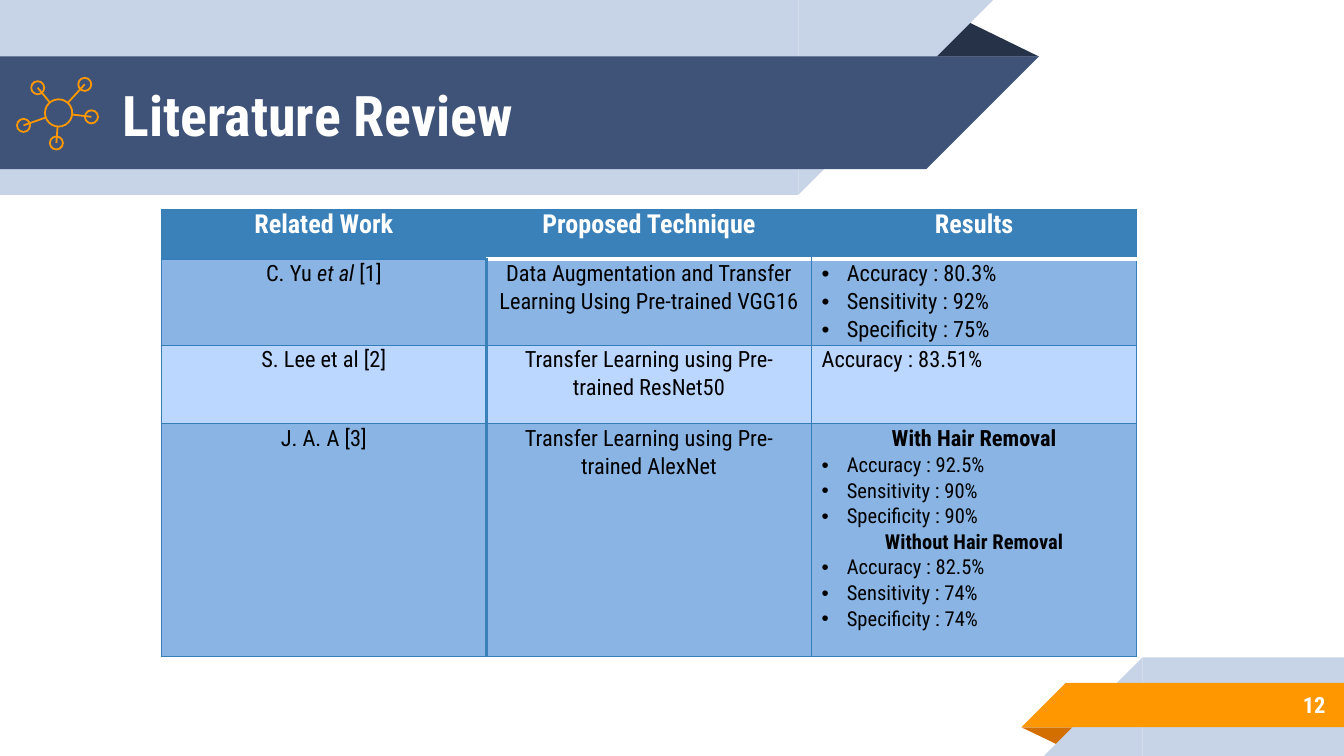
from math import hypot
from lxml.etree import SubElement
from pptx import Presentation
from pptx.dml.color import RGBColor
from pptx.enum.shapes import MSO_CONNECTOR as Connector, MSO_SHAPE as Shape
from pptx.enum.text import MSO_ANCHOR as Anchor, MSO_AUTO_SIZE as AutoSize, PP_ALIGN as Align
from pptx.oxml.ns import qn
from pptx.util import Pt

FONT = "Roboto Condensed"
WHITE, BLACK = "FFFFFF", "000000"
PALE, NAVY, DARK = "C7D3E6", "3F5378", "263248"
ORANGE, RUST = "FF9800", "D26F00"
HEADER, EDGE = "3A81BA", "367EB9"
STRONG_ROW, LIGHT_ROW = "89B4E3", "BBD6FF"

HEADINGS = ["Related Work", "Proposed Technique", "Results"]
STUDIES = [
    ([("C. Yu ", False), ("et al ", True), ("[1]", False)],
     "Data Augmentation and Transfer Learning Using Pre-trained VGG16",
     [("bullet", 12, ["Accuracy : 80.3%", "Sensitivity : 92%", "Specificity : 75%"])]),
    ([("S. Lee et al [2]", False)],
     "Transfer Learning using Pre-trained ResNet50",
     [("plain", 12, ["Accuracy : 83.51%"])]),
    ([("J. A. A [3]", False)],
     "Transfer Learning using Pre-trained AlexNet",
     [("heading", 12, ["With Hair Removal"]),
      ("bullet", 11, ["Accuracy : 92.5%", "Sensitivity : 90%", "Specificity : 90%"]),
      ("heading", 11, ["Without Hair Removal"]),
      ("bullet", 11, ["Accuracy : 82.5%", "Sensitivity : 74%", "Specificity : 74%"])]),
]


def color(value):
    """Turn a hex string into a colour."""
    return RGBColor.from_string(value)


def set_font(font, size, shade, bold=False):
    """Apply the deck's typeface with a size, colour and weight."""
    font.name, font.size, font.bold = FONT, Pt(size), bold
    font.color.rgb = color(shade)


def add_solid(page, kind, left, top, width, height, fill, rotation=0):
    """Add a filled shape without outline or shadow."""
    shape = page.shapes.add_shape(kind, Pt(left), Pt(top), Pt(width), Pt(height))
    shape.shadow.inherit = False
    shape.fill.solid()
    shape.fill.fore_color.rgb = color(fill)
    shape.line.fill.background()
    shape.rotation = rotation
    return shape


def add_fold(page, left, top, width, height, fill, rotation=0):
    """Add the folded corner of a ribbon."""
    fold = add_solid(page, Shape.ISOSCELES_TRIANGLE, left, top, width, height, fill, rotation)
    fold.adjustments[0] = 0.324


def add_header_ribbon(page, left, top):
    """Draw the two slanted bands behind the title."""
    add_fold(page, left + 495.4, top + 10.1, 61.2, 20.2, DARK)
    for offset, width, height, fill in [(0, 427.7, 104.4, PALE), (30.2, 496.1, 60.5, NAVY)]:
        add_solid(page, Shape.RECTANGLE, left, top + offset, width, height, fill)
        add_solid(page, Shape.RIGHT_TRIANGLE, left + width, top + offset, height, height, fill, 90)


def add_footer_ribbon(page, right, bottom, number):
    """Draw the two slanted bands at the lower right with the page number."""
    add_fold(page, right - 172.8, bottom - 15.4, 31, 10.1, RUST, 180)
    for rise, width, height, fill in [(52.8, 108, 52.8, PALE), (39.2, 149, 23.8, ORANGE)]:
        left, top = right - width, bottom - rise
        add_solid(page, Shape.RECTANGLE, left, top, width, height, fill)
        add_solid(page, Shape.RIGHT_TRIANGLE, left - height, top, height, height, fill, 270)
    box = page.shapes.add_textbox(Pt(right - 120.2), Pt(bottom - 40), Pt(117.4), Pt(25.2))
    box.text_frame.word_wrap = True
    box.text_frame.vertical_anchor = Anchor.MIDDLE
    para = box.text_frame.paragraphs[0]
    para.text, para.alignment = number, Align.RIGHT
    set_font(para.font, 12, WHITE, True)


def add_ring(page, x, y, radius):
    """Draw an unfilled circle around a centre."""
    ring = page.shapes.add_shape(
        Shape.OVAL, Pt(x - radius), Pt(y - radius), Pt(2 * radius), Pt(2 * radius))
    ring.shadow.inherit = False
    ring.fill.background()
    ring.line.color.rgb, ring.line.width = color(ORANGE), Pt(0.96)


def add_network_icon(page, left, top):
    """Draw a hub with five outer nodes joined by spokes."""
    hub_x, hub_y, hub_radius = left + 22.4, top + 18.9, 7.3
    add_ring(page, hub_x, hub_y, hub_radius)
    for x, y in [(36.4, 3.6), (11.2, 5.4), (3.6, 25.6), (21.2, 35), (40, 21)]:
        node_x, node_y = left + x, top + y
        add_ring(page, node_x, node_y, 3.5)
        reach = hub_radius / hypot(node_x - hub_x, node_y - hub_y)
        spoke = page.shapes.add_connector(
            Connector.STRAIGHT, Pt(node_x), Pt(node_y),
            Pt(hub_x + reach * (node_x - hub_x)), Pt(hub_y + reach * (node_y - hub_y)))
        spoke.line.color.rgb, spoke.line.width = color(ORANGE), Pt(0.96)
        SubElement(spoke._element.spPr, qn("a:effectLst"))


def place_title(page, text, left, top, width, height):
    """Move the title placeholder over the ribbon and format it."""
    title = page.shapes.title
    title.left, title.top, title.width, title.height = map(Pt, (left, top, width, height))
    page.shapes._spTree.append(title._element)
    frame = title.text_frame
    frame.auto_size, frame.vertical_anchor = AutoSize.NONE, Anchor.MIDDLE
    frame.margin_left = frame.margin_right = frame.margin_top = frame.margin_bottom = Pt(7.2)
    para = frame.paragraphs[0]
    para.text, para.alignment = text, Align.LEFT
    set_font(para.font, 30, WHITE, True)


def style_cell(cell, fill, row, column):
    """Set the margins, borders and fill of a table cell."""
    cell.margin_left = cell.margin_right = Pt(5.4)
    cell.margin_top = cell.margin_bottom = 0
    thin, thick, white = (EDGE, 0.75), (HEADER, 2), (WHITE, 2)
    borders = {
        "a:lnL": thick if row and column == 1 else thin,
        "a:lnR": thick if row and column == 0 else thin,
        "a:lnT": white if row == 1 and column else thin,
        "a:lnB": white if row == 0 and column else thin,
    }
    if row == 0:
        borders["a:lnL"] = thin if column == 0 else (HEADER, 0.75)
        borders["a:lnR"] = thin if column == 2 else (HEADER, 0.75)
    properties = cell._tc.get_or_add_tcPr()
    for tag, (shade, width) in borders.items():
        line = SubElement(properties, qn(tag), w=str(Pt(width)))
        SubElement(SubElement(line, qn("a:solidFill")), qn("a:srgbClr"), val=shade)
    cell.fill.solid()
    cell.fill.fore_color.rgb = color(fill)


def write_line(cell, index, spans, style, size=12):
    """Write one paragraph of a body cell in the given style."""
    frame = cell.text_frame
    para = frame.add_paragraph() if index else frame.paragraphs[0]
    para.alignment = Align.JUSTIFY if style in ("bullet", "plain") else Align.CENTER
    para.line_spacing = 1.07
    if style == "bullet":
        properties = para._p.get_or_add_pPr()
        properties.set("marL", str(Pt(13.5)))
        properties.set("indent", str(-Pt(13.5)))
        SubElement(SubElement(properties, qn("a:buClr")), qn("a:srgbClr"), val=BLACK)
        SubElement(properties, qn("a:buFont"), typeface="Arial")
        SubElement(properties, qn("a:buChar"), char="•")
    set_font(para.font, size, BLACK, style == "heading")
    for text, italic in spans:
        span = para.add_run()
        span.text = text
        if italic:
            span.font.italic = True


def add_review_table(page, left, top, width, heights):
    """Build the table of related studies."""
    frame = page.shapes.add_table(
        len(heights), len(HEADINGS), Pt(left), Pt(top), Pt(width), Pt(sum(heights)))
    table = frame.table
    table.horz_banding = False
    for column in table.columns:
        column.width = Pt(width / len(HEADINGS))
    for row, height in zip(table.rows, heights):
        row.height = Pt(height)
    for column, heading in enumerate(HEADINGS):
        cell = table.cell(0, column)
        style_cell(cell, HEADER, 0, column)
        para = cell.text_frame.paragraphs[0]
        para.text, para.alignment = heading, Align.CENTER
        set_font(para.font, 14, WHITE, True)
    for row, (authors, technique, results) in enumerate(STUDIES, 1):
        cells = [table.cell(row, column) for column in range(len(HEADINGS))]
        for column, cell in enumerate(cells):
            style_cell(cell, STRONG_ROW if row % 2 else LIGHT_ROW, row, column)
        write_line(cells[0], 0, authors, "centred")
        write_line(cells[1], 0, [(technique, False)], "centred")
        lines = [(style, size, text) for style, size, texts in results for text in texts]
        for index, (style, size, text) in enumerate(lines):
            write_line(cells[2], index, [(text, False)], style, size)


def main():
    """Build the literature review slide and save it."""
    deck = Presentation()
    deck.slide_width, deck.slide_height = Pt(720), Pt(405)
    page = deck.slides.add_slide(deck.slide_layouts[5])
    add_header_ribbon(page, 0, 0)
    add_footer_ribbon(page, 720, 405, "12")
    add_network_icon(page, 9, 41.6)
    add_review_table(page, 86.4, 112.2, 522.6, [26.6, 45, 42, 124.8])
    place_title(page, "Literature Review", 58.3, 31, 655.9, 59.8)
    deck.save("out.pptx")


if __name__ == "__main__":
    main()
